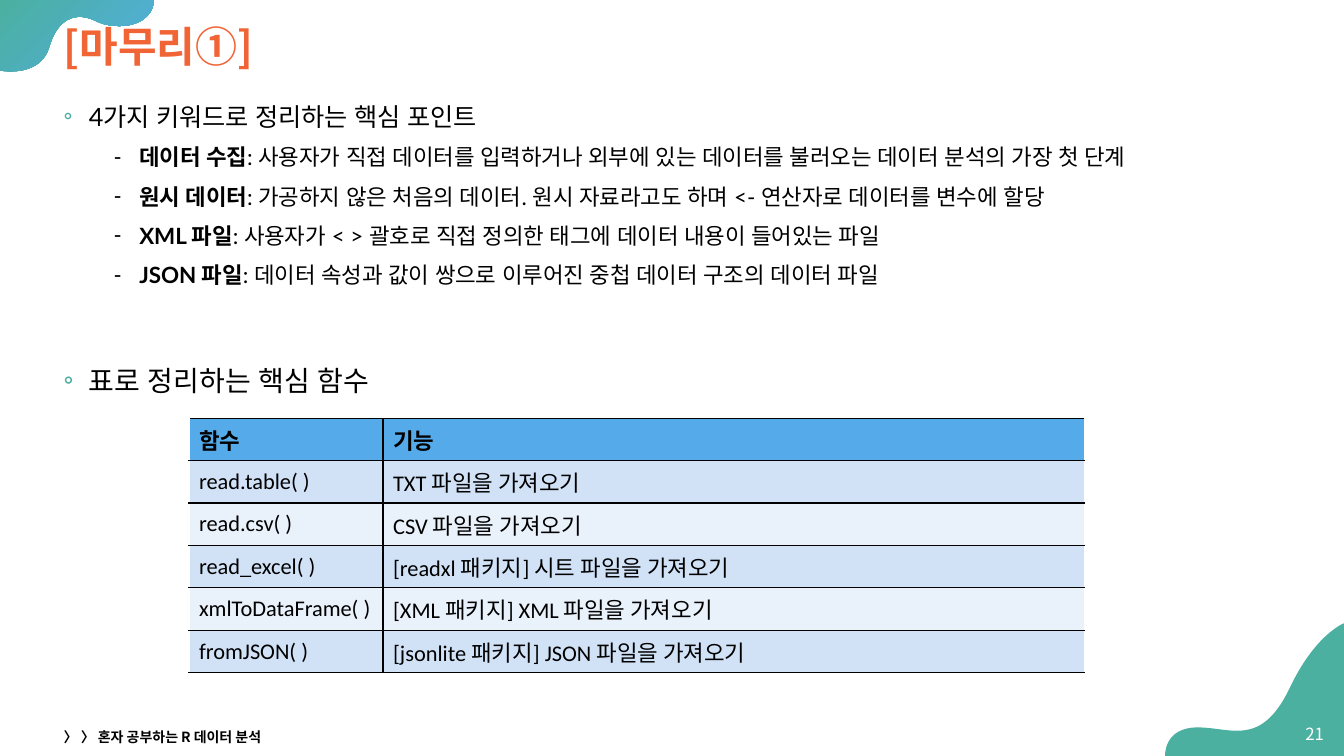
from dataclasses import dataclass
from typing import Optional

from lxml import etree
from pptx import Presentation
from pptx import util as u
from pptx.dml.color import RGBColor
from pptx.enum import text as t
from pptx.oxml.ns import qn

# The slide is a grid of 160 columns by 90 rows of square cells.
COLUMNS, ROWS = 160, 90
CELL = u.Inches(1 / 12)

TEAL = RGBColor(0x4B, 0xB0, 0xA0)
BLUE = RGBColor(0x52, 0xAE, 0xE1)
ORANGE = RGBColor(0xF0, 0x64, 0x36)
BLACK = RGBColor(0, 0, 0)
WHITE = RGBColor(0xFF, 0xFF, 0xFF)
HEADER_FILL = RGBColor(0x55, 0xAA, 0xEA)
BAND_FILLS = (RGBColor(0xE9, 0xF1, 0xFB), RGBColor(0xD1, 0xE2, 0xF7))

KOREAN, BODY, TABLE = "Noto Sans CJK KR", "Lato", "Calibri"

Point = tuple[float, float]


@dataclass(frozen=True)
class Area:
    left: float
    top: float
    width: float
    height: float

    def lengths(self) -> list[int]:
        return [grid(n) for n in (self.left, self.top, self.width, self.height)]


@dataclass(frozen=True)
class Style:
    size: float
    latin: str = KOREAN
    asian: str = KOREAN
    color: RGBColor = BLACK
    bold: bool = False


@dataclass(frozen=True)
class Item:
    text: str
    style: Style
    keyword: str = ""
    level: int = 0
    marker: str = "◦"
    marker_color: Optional[RGBColor] = TEAL
    before: float = 10


@dataclass(frozen=True)
class Blob:
    """An outline of cubic curves (control, control, end), closed through one corner."""
    start: Point
    curves: tuple[tuple[Point, Point, Point], ...]
    corner: Point


KEYWORD_STYLE = Style(16, BODY, BODY)
KEYWORDS = (
    ("데이터 수집", ": 사용자가 직접 데이터를 입력하거나 외부에 있는 데이터를 불러오는 데이터 분석의 가장 첫 단계"),
    ("원시 데이터", ": 가공하지 않은 처음의 데이터. 원시 자료라고도 하며 <- 연산자로 데이터를 변수에 할당"),
    ("XML 파일", ": 사용자가 < > 괄호로 직접 정의한 태그에 데이터 내용이 들어있는 파일"),
    ("JSON 파일", ": 데이터 속성과 값이 쌍으로 이루어진 중첩 데이터 구조의 데이터 파일"),
)
ITEMS = (
    Item("4가지 키워드로 정리하는 핵심 포인트", Style(18, BODY, BODY)),
    *(Item(meaning, KEYWORD_STYLE, keyword, 1, "⁃", None, 5) for keyword, meaning in KEYWORDS),
    Item("표로 정리하는 핵심 함수", Style(20, KOREAN, BODY), before=49),
)
FUNCTIONS = (
    ("함수", "기능"),
    ("read.table( )", "TXT 파일을 가져오기"),
    ("read.csv( )", "CSV 파일을 가져오기"),
    ("read_excel( )", "[readxl 패키지] 시트 파일을 가져오기"),
    ("xmlToDataFrame( )", "[XML 패키지] XML 파일을 가져오기"),
    ("fromJSON( )", "[jsonlite 패키지] JSON 파일을 가져오기"),
)
TABLE_COLUMNS = (23.1, 83.5)
TABLE_ROW = 5.05

TOP_BLOB = Blob(
    (0, 8.4),
    (
        ((0, 8.4), (0.5, 8.5), (1.3, 8.5)),
        ((2.9, 8.5), (5.2, 8), (5.9, 5.5)),
        ((6.7, 2.8), (8.2, 2), (9.5, 2)),
        ((10.1, 2), (10.7, 2.2), (11.2, 2.4)),
        ((12.1, 2.9), (13.2, 3.1), (14.2, 3.1)),
        ((16.4, 3.1), (18.3, 2), (18.3, 0)),
    ),
    (0, 0),
)
BOTTOM_BLOB = Blob(
    (COLUMNS, 74.2),
    (
        ((160, 74.2), (156.5, 75.5), (153.4, 82.2)),
        ((151.4, 86.2), (149.4, 87), (147.2, 87)),
        ((145.8, 87), (144.2, 86.6), (142.6, 86.6)),
        ((138.5, 86.6), (138.7, 90), (138.7, 90)),
    ),
    (COLUMNS, ROWS),
)


def grid(cells: float) -> int:
    return round(cells * CELL)


def apply_style(para, style: Style) -> None:
    font = para.font
    font.size, font.name, font.bold = u.Pt(style.size), style.latin, style.bold
    font.color.rgb = style.color
    defaults = para._p.pPr.find(qn("a:defRPr"))
    defaults.set("kern", "0")
    etree.SubElement(defaults, qn("a:ea"), typeface=style.asian)


def add_blob(page, blob: Blob):
    """Lay straight segments through all control points, then bend each three into a curve."""
    points = [point for curve in blob.curves for point in curve] + [blob.corner]
    builder = page.shapes.build_freeform(*map(grid, blob.start))
    builder.add_line_segments([(grid(x), grid(y)) for x, y in points])
    shape = builder.convert_to_shape()
    segments = list(shape._element.iter(qn("a:lnTo")))
    for first in range(0, 3 * len(blob.curves), 3):
        bend = etree.Element(qn("a:cubicBezTo"))
        segments[first].addprevious(bend)
        for segment in segments[first:first + 3]:
            bend.append(segment[0])
            segment.getparent().remove(segment)
    shape.shadow.inherit = False
    shape.line.fill.background()
    return shape


def add_label(page, area: Area, label: str, style: Style, align=t.PP_ALIGN.LEFT) -> None:
    frame = page.shapes.add_textbox(*area.lengths()).text_frame
    frame.word_wrap = True
    frame.vertical_anchor = t.MSO_ANCHOR.MIDDLE
    para = frame.paragraphs[0]
    para.text, para.alignment = label, align
    apply_style(para, style)


def add_items(page, area: Area, items: tuple[Item, ...]) -> None:
    frame = page.shapes.add_textbox(*area.lengths()).text_frame
    frame.word_wrap = True
    for index, item in enumerate(items):
        para = frame.add_paragraph() if index else frame.paragraphs[0]
        para.level, para.line_spacing = item.level, 1.2
        para.space_before = u.Pt(item.before if index else 0)
        properties = para._p.get_or_add_pPr()
        properties.set("marL", str(u.Inches(0.25 + 0.5 * item.level)))
        properties.set("indent", str(-u.Inches(0.25)))
        if item.marker_color is not None:
            tint = etree.SubElement(properties, qn("a:buClr"))
            etree.SubElement(tint, qn("a:srgbClr"), val=str(item.marker_color))
        etree.SubElement(properties, qn("a:buFont"), typeface=TABLE)
        etree.SubElement(properties, qn("a:buChar"), char=item.marker)
        if item.keyword:
            span = para.add_run()
            span.text, span.font.bold = item.keyword, True
        para.add_run().text = item.text
        apply_style(para, item.style)


def rule_cell(cell, sides: str) -> None:
    """Draw 1 pt black borders on the given sides, named in the order L, R, T, B."""
    properties = cell._tc.get_or_add_tcPr()
    for index, side in enumerate(sides):
        line = etree.Element(qn(f"a:ln{side}"), w=str(u.Pt(1)))
        fill = etree.SubElement(line, qn("a:solidFill"))
        etree.SubElement(fill, qn("a:srgbClr"), val=str(BLACK))
        properties.insert(index, line)


def add_functions(page, left: float, top: float) -> None:
    area = Area(left, top, sum(TABLE_COLUMNS), TABLE_ROW * len(FUNCTIONS))
    table = page.shapes.add_table(len(FUNCTIONS), len(TABLE_COLUMNS), *area.lengths()).table
    for column, width in zip(table.columns, TABLE_COLUMNS):
        column.width = grid(width)
    for r, row in enumerate(FUNCTIONS):
        for c, label in enumerate(row):
            cell = table.cell(r, c)
            cell.text, cell.vertical_anchor = label, t.MSO_ANCHOR.MIDDLE
            cell.fill.solid()
            cell.fill.fore_color.rgb = BAND_FILLS[r % 2] if r else HEADER_FILL
            rule_cell(cell, "LTB" if c else "RTB")
            apply_style(cell.text_frame.paragraphs[0], Style(16, TABLE, bold=r == 0))


def add_title(page, area: Area, label: str) -> None:
    title = page.shapes.title
    title.left, title.top, title.width, title.height = area.lengths()
    title.text_frame.vertical_anchor = t.MSO_ANCHOR.MIDDLE
    para = title.text_frame.paragraphs[0]
    para.text, para.alignment, para.line_spacing = label, t.PP_ALIGN.LEFT, 0.9
    apply_style(para, Style(30, color=ORANGE, bold=True))


def main() -> None:
    deck = Presentation()
    deck.slide_width, deck.slide_height = grid(COLUMNS), grid(ROWS)
    page = deck.slides.add_slide(deck.slide_layouts[5])

    top_fill = add_blob(page, TOP_BLOB).fill
    top_fill.gradient()
    top_fill.gradient_angle = 315
    for stop, color, position in zip(top_fill.gradient_stops, (TEAL, BLUE), (0, 1)):
        stop.color.rgb, stop.position = color, position
    bottom_fill = add_blob(page, BOTTOM_BLOB).fill
    bottom_fill.solid()
    bottom_fill.fore_color.rgb = TEAL
    page.shapes._spTree.append(page.shapes.title._element)

    add_title(page, Area(6.4, 1.4, 148, 8.8), "[마무리①]")
    add_label(page, Area(153.5, 85, 5.3, 4.8), "21", Style(12, color=WHITE), t.PP_ALIGN.RIGHT)
    add_label(page, Area(6.4, 86.3, 54, 2.9), "〉 〉 혼자 공부하는 R 데이터 분석", Style(10, bold=True))
    add_items(page, Area(6.4, 10.7, 148, 75.6), ITEMS)
    add_functions(page, 22.5, 49.8)
    deck.save("out.pptx")


if __name__ == "__main__":
    main()
